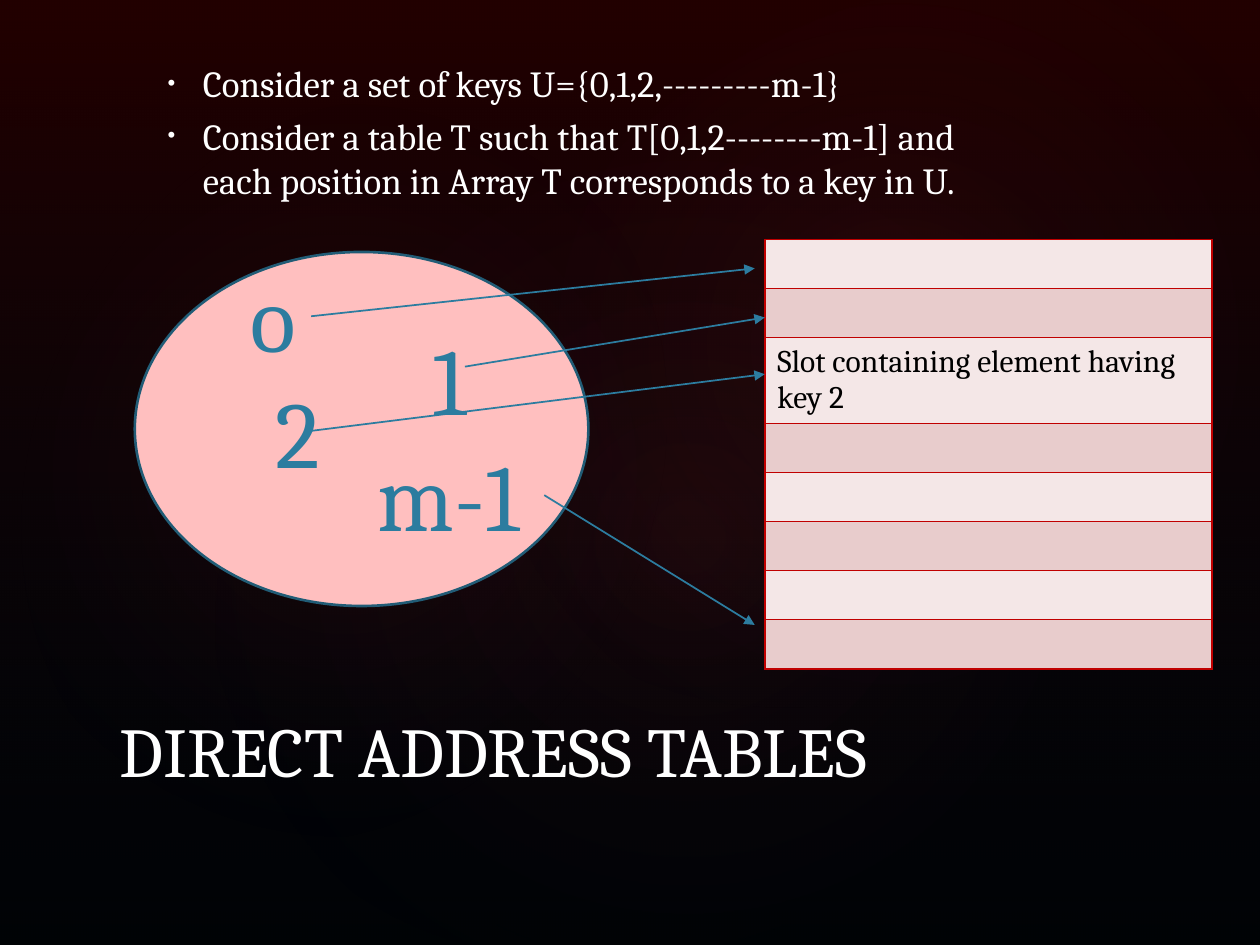
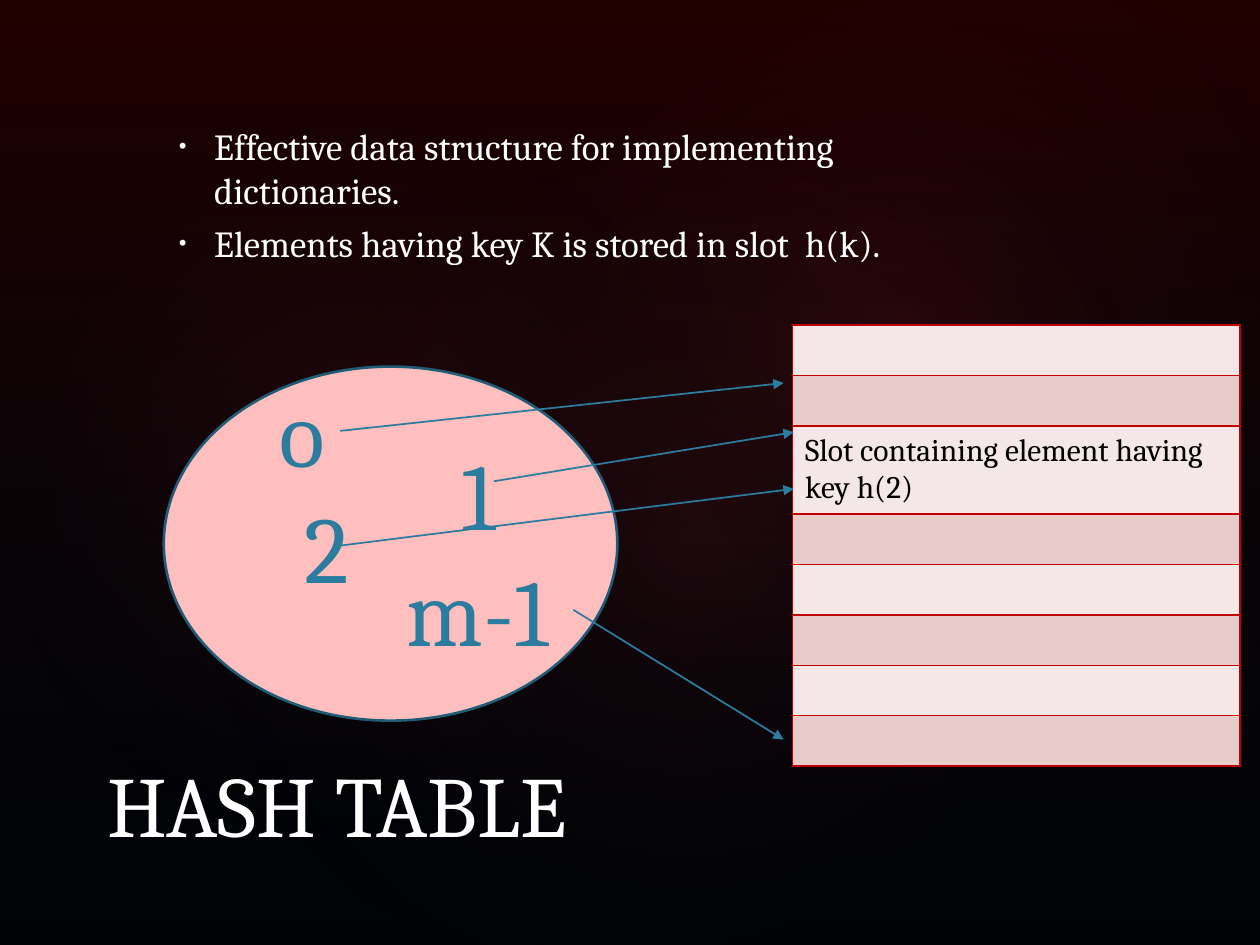
from pptx import Presentation
from pptx.dml.color import RGBColor
from pptx.enum.shapes import MSO_CONNECTOR, MSO_SHAPE
from pptx.enum.text import MSO_ANCHOR, MSO_AUTO_SIZE, PP_ALIGN
from pptx.oxml import parse_xml
from pptx.oxml.ns import nsdecls
from pptx.util import Inches, Pt

FONT = "Cambria"
WHITE, BLACK, TEAL, DARK_TEAL = "FFFFFF", "000000", "2C7C9F", "215C76"
PINK, RED, ROW_FILLS = "FFBFBF", "C00000", ("F4E7E7", "E8CCCC")
NS = nsdecls("a")


def rgb(color):
    return RGBColor.from_string(color)


def add_run(p, text, size, color):
    r = p.add_run()
    r.text = text
    r.font.name, r.font.size = FONT, Pt(size)
    r.font.color.rgb = rgb(color)


# Backdrop: left, top, width, height, rotation, gradient stops, direction
LINEAR = '<a:lin ang="5400000" scaled="0"/>'
RADIAL = ('<a:path path="circle"><a:fillToRect l="50000" t="50000" '
          'r="50000" b="50000"/></a:path>')
GLOW_END = (58, "09213B", 0)
BACKDROP = [
    (0, 0, 10, 7.5, 0, [(0, "600000", 36), (100, "09213B", 10)], LINEAR),
    (1.5, 1.14, 7.92, 6.24, 328.7, [(0, "FF4040", 7), GLOW_END], RADIAL),
    (-0.3, 1.28, 6.06, 4.9, 294.3, [(0, "FF4040", 8), GLOW_END], RADIAL),
    (3.58, 0.13, 7.09, 5.2, 328.7, [(0, "FF4040", 8), GLOW_END], RADIAL),
]

# Key diagram, measured from the corner of the ellipse
KEYS = [("o", 0.79, 0, 0.62), ("1", 2.21, 0.5, 0.58),
        ("2", 1, 0.92, 0.58), ("m-1", 1.74, 1.42, 1.5)]
ARROWS = [(1.4, 0.51, 4.92, 0.13), (2.62, 0.91, 5, 0.52),
          (1.4, 1.42, 5, 0.97), (3.25, 1.93, 4.92, 2.96)]
ROWS, SLOT_ROW = 8, 2

SLIDES = [
    dict(title="DIRECT ADDRESS TABLES", title_at=(0.85, 5.33), title_size=40,
         bullets=["Consider a set of keys U={0,1,2,---------m-1}",
                  "Consider a table T such that T[0,1,2--------m-1] and each "
                  "position in Array T corresponds to a key in U."],
         body_at=(1.21, 0.27), body_inset=0.21, ellipse_at=(1.07, 2),
         table_at=(6.07, 1.9), row_height=0.39, slot_height=0.68,
         slot="Slot containing element having key 2"),
    dict(title="HASH TABLE", title_at=(0.75, 5.83), title_size=49,
         bullets=["Effective data structure for implementing dictionaries.",
                  "Elements having key K is stored in slot  h(k)."],
         body_at=(1.3, -0.25), body_inset=1.23, ellipse_at=(1.3, 2.91),
         table_at=(6.29, 2.58), row_height=0.4, slot_height=0.7,
         slot="Slot containing element having key h(2)"),
]

prs = Presentation()
prs.slide_width, prs.slide_height = Inches(10), Inches(7.5)
master = prs.slide_master
master.background.fill.solid()
master.background.fill.fore_color.rgb = rgb(BLACK)

for number, spec_row in enumerate(SLIDES):
    s = prs.slides.add_slide(prs.slide_layouts[1])

    # Backdrop, drawn once and moved behind everything on the master
    if number == 0:
        for i, (x, y, w, h, angle, stops, direction) in enumerate(BACKDROP):
            kind = MSO_SHAPE.OVAL if angle else MSO_SHAPE.RECTANGLE
            sp = s.shapes.add_shape(kind, Inches(x), Inches(y), Inches(w), Inches(h))
            sp.rotation = angle
            sp.shadow.inherit = False
            sp.line.fill.background()
            gs = "".join(
                f'<a:gs pos="{pos * 1000}"><a:srgbClr val="{color}">'
                f'<a:alpha val="{alpha * 1000}"/></a:srgbClr></a:gs>'
                for pos, color, alpha in stops)
            sp._element.spPr.find("{*}prstGeom").addnext(parse_xml(
                f'<a:gradFill {NS} rotWithShape="1"><a:gsLst>{gs}</a:gsLst>'
                f'{direction}</a:gradFill>'))
            master.shapes._spTree.insert(2 + i, sp._element)

    # Title
    title = s.shapes.title
    title.left, title.top = [Inches(v) for v in spec_row["title_at"]]
    title.width, title.height = Inches(8.25), Inches(1)
    tf = title.text_frame
    tf.vertical_anchor, tf.auto_size = MSO_ANCHOR.BOTTOM, MSO_AUTO_SIZE.NONE
    tf.paragraphs[0].alignment = PP_ALIGN.LEFT
    add_run(tf.paragraphs[0], spec_row["title"], spec_row["title_size"], WHITE)

    # Bullets
    body = s.placeholders[1]
    body.left, body.top = [Inches(v) for v in spec_row["body_at"]]
    body.width, body.height = Inches(6.67), Inches(4)
    tf = body.text_frame
    tf.vertical_anchor, tf.auto_size = MSO_ANCHOR.TOP, MSO_AUTO_SIZE.NONE
    tf.margin_top = Inches(spec_row["body_inset"])
    for i, text in enumerate(spec_row["bullets"]):
        p = tf.add_paragraph() if i else tf.paragraphs[0]
        p.space_before = Pt(5)
        pPr = p._p.get_or_add_pPr()
        pPr.set("marL", str(Inches(0.3)))
        pPr.set("indent", str(Inches(-0.28)))
        pPr.append(parse_xml(f'<a:buSzPct {NS} val="60000"/>'))
        pPr.append(parse_xml(f'<a:buChar {NS} char="•"/>'))
        add_run(p, text, 21, WHITE)

    # Slot table
    x, y = spec_row["table_at"]
    heights = [spec_row["row_height"]] * ROWS
    heights[SLOT_ROW] = spec_row["slot_height"]
    table = s.shapes.add_table(ROWS, 1, Inches(x), Inches(y),
                               Inches(3.55), Inches(sum(heights))).table
    for i, height in enumerate(heights):
        table.rows[i].height = Inches(height)
        cell = table.cell(i, 0)
        cell.vertical_anchor = MSO_ANCHOR.MIDDLE
        cell.margin_top = cell.margin_bottom = Inches(0.03)
        tcPr = cell._tc.get_or_add_tcPr()
        for side in "LRTB":
            tcPr.append(parse_xml(
                f'<a:ln{side} {NS} w="{Pt(1)}"><a:solidFill>'
                f'<a:srgbClr val="{RED}"/></a:solidFill></a:ln{side}>'))
        cell.fill.solid()
        cell.fill.fore_color.rgb = rgb(ROW_FILLS[i % 2])
        if i == SLOT_ROW:
            p = cell.text_frame.paragraphs[0]
            add_run(p, spec_row["slot"], 18, BLACK)
            p.runs[0].font.bold = False

    # Set of keys
    x, y = spec_row["ellipse_at"]
    sp = s.shapes.add_shape(MSO_SHAPE.OVAL, Inches(x), Inches(y),
                            Inches(3.6), Inches(2.81))
    sp.shadow.inherit = False
    sp.fill.solid()
    sp.fill.fore_color.rgb = rgb(PINK)
    sp.line.color.rgb, sp.line.width = rgb(DARK_TEAL), Pt(1.5)
    for key, dx, dy, width in KEYS:
        tb = s.shapes.add_textbox(Inches(x + dx), Inches(y + dy),
                                  Inches(width), Inches(1.01))
        tf = tb.text_frame
        tf.word_wrap, tf.auto_size = False, MSO_AUTO_SIZE.SHAPE_TO_FIT_TEXT
        tf.paragraphs[0].alignment = PP_ALIGN.CENTER
        add_run(tf.paragraphs[0], key, 54, TEAL)

    # Arrows from keys to slots
    for x1, y1, x2, y2 in ARROWS:
        line = s.shapes.add_connector(MSO_CONNECTOR.STRAIGHT, Inches(x + x1),
                                      Inches(y + y1), Inches(x + x2), Inches(y + y2))
        line.line.color.rgb, line.line.width = rgb(TEAL), Pt(1)
        line.line._ln.append(parse_xml(f'<a:tailEnd {NS} type="triangle"/>'))
        line._element.spPr.append(parse_xml(f'<a:effectLst {NS}/>'))

prs.save("out.pptx")
